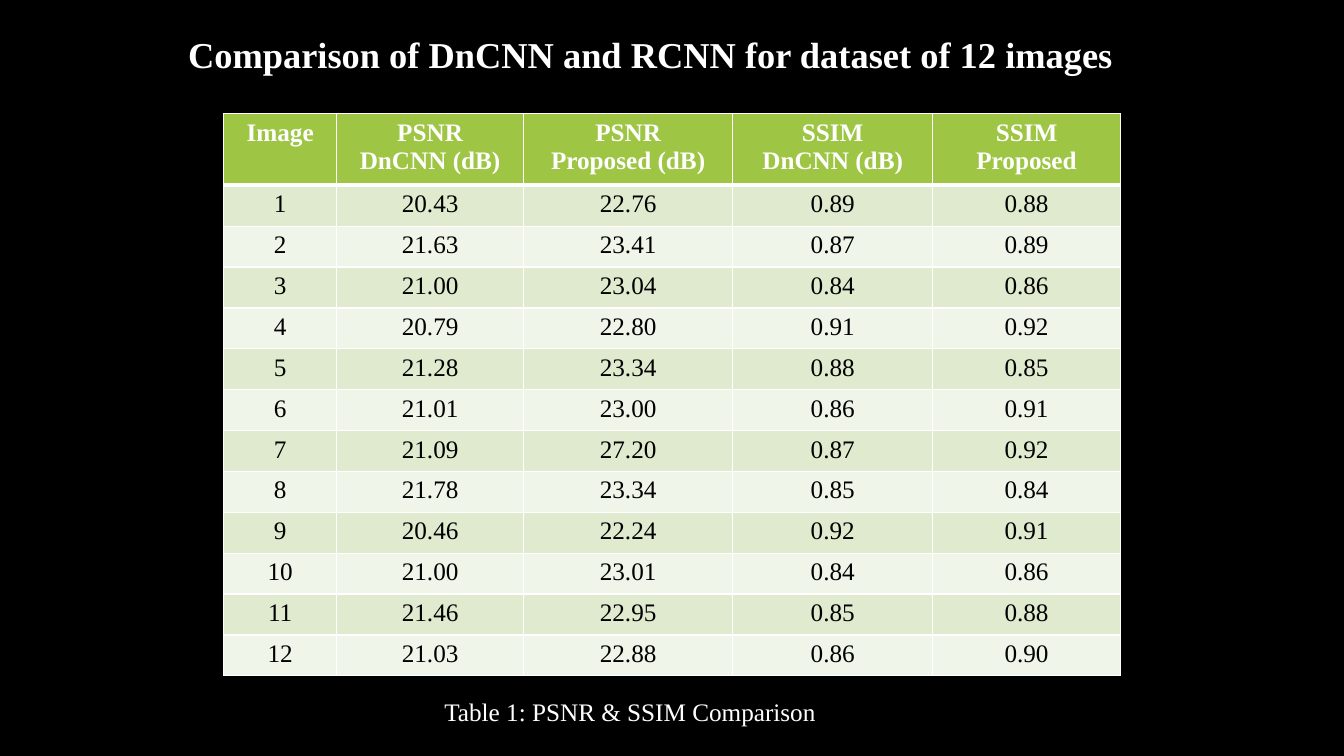
from lxml import etree
from pptx import Presentation
from pptx.dml.color import RGBColor
from pptx.enum.text import MSO_ANCHOR, MSO_AUTO_SIZE, PP_ALIGN
from pptx.oxml.ns import qn
from pptx.util import Cm, Pt

BLACK = RGBColor(0x00, 0x00, 0x00)
WHITE = RGBColor(0xFF, 0xFF, 0xFF)
HEADER_GREEN = RGBColor(0x9E, 0xC5, 0x44)
ROW_GREENS = (RGBColor(0xDF, 0xEA, 0xCF), RGBColor(0xF0, 0xF5, 0xE9))
FONT = "Times New Roman"

HEADINGS = ("Image", "PSNR\nDnCNN (dB)", "PSNR\nProposed (dB)",
            "SSIM\nDnCNN (dB)", "SSIM\nProposed")
SCORES = (
    ("20.43", "22.76", "0.89", "0.88"),
    ("21.63", "23.41", "0.87", "0.89"),
    ("21.00", "23.04", "0.84", "0.86"),
    ("20.79", "22.80", "0.91", "0.92"),
    ("21.28", "23.34", "0.88", "0.85"),
    ("21.01", "23.00", "0.86", "0.91"),
    ("21.09", "27.20", "0.87", "0.92"),
    ("21.78", "23.34", "0.85", "0.84"),
    ("20.46", "22.24", "0.92", "0.91"),
    ("21.00", "23.01", "0.84", "0.86"),
    ("21.46", "22.95", "0.85", "0.88"),
    ("21.03", "22.88", "0.86", "0.90"),
)
COLUMN_WIDTHS = (2.84, 4.72, 5.26, 5.05, 4.72)
HEADER_HEIGHT = 1.8
ROW_HEIGHT = 1.03


def write_text(frame, text, size=18, color=WHITE, bold=False, align=PP_ALIGN.CENTER):
    """Fill a text frame, one paragraph for each line of text."""
    frame.text = text
    for paragraph in frame.paragraphs:
        paragraph.alignment = align
        for run in paragraph.runs:
            font = run.font
            font.name = FONT
            font.size = Pt(size)
            font.bold = bold
            font.color.rgb = color


def add_title(slide, text):
    title = slide.shapes.title
    title.left, title.top = Cm(4.39), Cm(0.61)
    title.width, title.height = Cm(24.03), Cm(2.13)
    frame = title.text_frame
    frame.auto_size = MSO_AUTO_SIZE.NONE
    frame.word_wrap = False
    frame.vertical_anchor = MSO_ANCHOR.MIDDLE
    frame.margin_bottom = Cm(0.76)
    write_text(frame, text, size=26, bold=True)


def add_caption(slide, text):
    caption = slide.shapes.add_textbox(Cm(10.95), Cm(17.42), Cm(10.92), Cm(1.02))
    caption.text_frame.word_wrap = True
    write_text(caption.text_frame, text, align=PP_ALIGN.LEFT)


def set_borders(cell, top=1, bottom=1):
    """Draw white cell borders; call before the fill, which follows them in the XML."""
    properties = cell._tc.get_or_add_tcPr()
    for side, width in (("L", 1), ("R", 1), ("T", top), ("B", bottom)):
        line = etree.SubElement(properties, qn(f"a:ln{side}"), w=str(Pt(width)))
        fill = etree.SubElement(line, qn("a:solidFill"))
        etree.SubElement(fill, qn("a:srgbClr"), val=str(WHITE))


def add_score_table(slide):
    rows = [HEADINGS] + [(str(n), *scores) for n, scores in enumerate(SCORES, 1)]
    height = HEADER_HEIGHT + ROW_HEIGHT * len(SCORES)
    table = slide.shapes.add_table(
        len(rows), len(HEADINGS), Cm(5.64), Cm(2.87),
        Cm(sum(COLUMN_WIDTHS)), Cm(height)).table
    for column, width in zip(table.columns, COLUMN_WIDTHS):
        column.width = Cm(width)
    for r, values in enumerate(rows):
        is_header = r == 0
        table.rows[r].height = Cm(HEADER_HEIGHT if is_header else ROW_HEIGHT)
        for c, value in enumerate(values):
            cell = table.cell(r, c)
            set_borders(cell, top=3 if r == 1 else 1, bottom=3 if is_header else 1)
            cell.fill.solid()
            cell.fill.fore_color.rgb = HEADER_GREEN if is_header else ROW_GREENS[(r - 1) % 2]
            write_text(cell.text_frame, value, bold=is_header,
                       color=WHITE if is_header else BLACK)


def main():
    presentation = Presentation()
    presentation.slide_width, presentation.slide_height = Cm(33.87), Cm(19.05)
    title_only = presentation.slide_layouts[5]
    slide = presentation.slides.add_slide(title_only)
    slide.background.fill.solid()
    slide.background.fill.fore_color.rgb = BLACK

    add_title(slide, "Comparison of DnCNN and RCNN for dataset of 12 images")
    add_score_table(slide)
    add_caption(slide, "Table 1: PSNR & SSIM Comparison")
    presentation.save("out.pptx")


if __name__ == "__main__":
    main()
